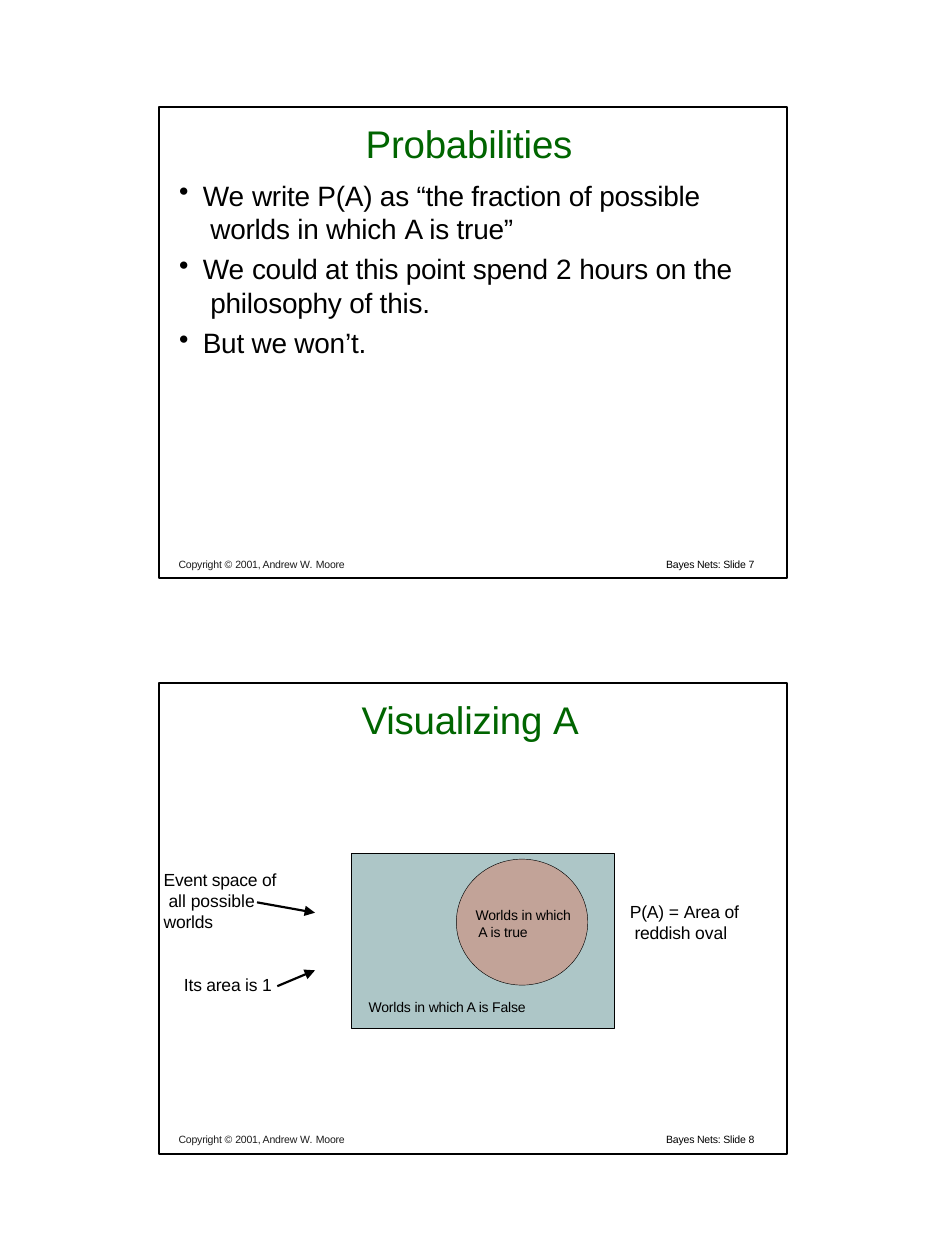
from dataclasses import dataclass

from lxml.etree import SubElement
from pptx import Presentation
from pptx.dml.color import RGBColor
from pptx.enum.shapes import MSO_CONNECTOR as Conn, MSO_SHAPE as Shape
from pptx.enum.text import MSO_ANCHOR as Anchor, MSO_AUTO_SIZE as AutoSize, PP_ALIGN as Align
from pptx.oxml.ns import qn
from pptx.util import Cm, Pt


@dataclass(frozen=True)
class Theme:
    font: str = "Arial"
    green: str = "006500"
    black: str = "000000"
    grey: str = "1C1C1C"
    line: str = "010101"
    teal: str = "ADC6C7"
    reddish: str = "C2A398"
    title: float = 22
    body: float = 16
    label: float = 10
    inner: float = 8
    footer: float = 6


@dataclass(frozen=True)
class Box:
    """Position and size in centimetres."""
    x: float
    y: float
    w: float
    h: float

    def emu(self) -> tuple:
        return Cm(self.x), Cm(self.y), Cm(self.w), Cm(self.h)


@dataclass(frozen=True)
class Run:
    """Text with letter spacing in points; a newline is a line break."""
    text: str
    spc: float = -0.1


@dataclass(frozen=True)
class Label:
    box: Box
    runs: tuple


@dataclass(frozen=True)
class Panel:
    top: float
    title: Label
    number: str


@dataclass(frozen=True)
class Arrow:
    x1: float
    y1: float
    x2: float
    y2: float


T = Theme()
FRAME_X, FRAME_W, FRAME_H = 3.2, 12.67, 9.5
TITLE_DY, FOOTER_DY = 0.2, 9.02
TOPS = (2.16, 13.77)

PANELS = (
    Panel(TOPS[0], Label(Box(7.37, TOPS[0] + TITLE_DY, 4.35, 1.02),
                         (Run("Probabilities"),)), "7"),
    Panel(TOPS[1], Label(Box(7.29, TOPS[1] + TITLE_DY, 4.53, 1.02),
                         (Run("Visualizing "), Run("A", 0))), "8"),
)
COPYRIGHT = (Run("Copyright "), Run("© ", 0), Run("2001, Andrew "), Run("W. ", 0.1), Run("Moore"))
BULLETS = (
    (Run("We ", 0), Run("write P(A) as “the fraction of possible\n worlds in which "),
     Run("A ", 0), Run("is true”")),
    (Run("We ", 0), Run("could at this point spend "), Run("2 ", 0),
     Run("hours on the\n philosophy of this.")),
    (Run("But we won’t."),),
)
LABELS = (
    Label(Box(3.3, 17.45, 2.4, 1.35),
          (Run("Event space of\n "), Run("all possible\n", 0), Run("worlds"))),
    Label(Box(3.71, 19.58, 1.9, 0.51), (Run("Its area is "), Run("1", 0))),
    Label(Box(12.7, 18.11, 2.34, 0.91),
          (Run("P(A) "), Run("= ", 0), Run("Area of\n reddish "), Run("oval", 0))),
)
ARROWS = (Arrow(5.18, 18.19, 6.35, 18.4), Arrow(5.59, 19.88, 6.35, 19.56))


def add_runs(p, runs: tuple, size: float, color: str) -> None:
    p.alignment = Align.LEFT
    for run in runs:
        for i, text in enumerate(run.text.split("\n")):
            if i:
                p.add_line_break()
            if not text:
                continue
            r = p.add_run()
            r.text = text
            r.font.name, r.font.size = T.font, Pt(size)
            r.font.color.rgb = RGBColor.from_string(color)
            if run.spc:
                r._r.get_or_add_rPr().set("spc", str(round(run.spc * 100)))


def setup_frame(tf, top: float = 0.06, left: float = 0, bottom: float = 0,
                anchor: Anchor = Anchor.TOP, wrap: bool = True) -> None:
    tf.auto_size, tf.word_wrap, tf.vertical_anchor = AutoSize.NONE, wrap, anchor
    tf.margin_left, tf.margin_right = Cm(left), 0
    tf.margin_top, tf.margin_bottom = Cm(top), Cm(bottom)


def add_label(s, label: Label, size: float, color: str = T.black) -> None:
    tf = s.shapes.add_textbox(*label.box.emu()).text_frame
    setup_frame(tf)
    add_runs(tf.paragraphs[0], label.runs, size, color)


def add_outline(s, kind: Shape, box: Box, width: float, line: str, fill: str = ""):
    sp = s.shapes.add_shape(kind, *box.emu())
    sp.shadow.inherit = False
    sp.line.color.rgb, sp.line.width = RGBColor.from_string(line), Pt(width)
    if fill:
        sp.fill.solid()
        sp.fill.fore_color.rgb = RGBColor.from_string(fill)
    else:
        sp.fill.background()
    return sp


def add_arrow(s, a: Arrow) -> None:
    cx = s.shapes.add_connector(Conn.STRAIGHT, Cm(a.x1), Cm(a.y1), Cm(a.x2), Cm(a.y2))
    cx.line.color.rgb, cx.line.width = RGBColor.from_string(T.line), Pt(1.25)
    SubElement(cx.line._get_or_add_ln(), qn("a:tailEnd"), type="triangle")
    SubElement(cx._element.spPr, qn("a:effectLst"))


def add_panel(s, panel: Panel) -> None:
    add_outline(s, Shape.RECTANGLE, Box(FRAME_X, panel.top, FRAME_W, FRAME_H), 1, T.black)
    y = panel.top + FOOTER_DY
    add_label(s, Label(Box(3.6, y, 3.6, 0.33), COPYRIGHT), T.footer, T.grey)
    number = (Run("Bayes Nets: Slide "), Run(panel.number, 0))
    add_label(s, Label(Box(13.43, y, 1.95, 0.33), number), T.footer)


def add_bullets(s, box: Box) -> None:
    tf = s.shapes.add_textbox(*box.emu()).text_frame
    setup_frame(tf)
    for i, runs in enumerate(BULLETS):
        p = tf.add_paragraph() if i else tf.paragraphs[0]
        pPr = p._p.get_or_add_pPr()
        pPr.set("marL", str(Cm(0.51)))
        pPr.set("indent", str(Cm(-0.48)))
        SubElement(pPr, qn("a:buChar"), char="•")
        if i:
            p.space_before = Pt(3.8)
        add_runs(p, runs, T.body, T.black)


def add_event_space(s) -> None:
    # The whole space, labelled at its foot
    sp = add_outline(s, Shape.RECTANGLE, Box(7.09, 17.2, 5.29, 3.53), 0.25, T.line, T.teal)
    setup_frame(sp.text_frame, left=0.34, bottom=0.27, anchor=Anchor.BOTTOM)
    add_runs(sp.text_frame.paragraphs[0], (Run("Worlds in which A is False"),), T.inner, T.black)
    # The oval where A is true
    sp = add_outline(s, Shape.OVAL, Box(9.2, 17.32, 2.65, 2.54), 0.25, T.line, T.reddish)
    setup_frame(sp.text_frame, anchor=Anchor.MIDDLE, wrap=False)
    add_runs(sp.text_frame.paragraphs[0], (Run("Worlds in which\n A is true"),), T.inner, T.black)


def main() -> None:
    prs = Presentation()
    prs.slide_width, prs.slide_height = Cm(19.05), Cm(25.4)
    s = prs.slides.add_slide(prs.slide_layouts[5])

    # Titles: the placeholder for the upper panel, a text box for the lower
    upper, lower = PANELS
    title = s.shapes.title
    title.left, title.top, title.width, title.height = upper.title.box.emu()
    setup_frame(title.text_frame)
    add_runs(title.text_frame.paragraphs[0], upper.title.runs, T.title, T.green)
    add_label(s, lower.title, T.title, T.green)

    # Panel frames and footers
    for panel in PANELS:
        add_panel(s, panel)

    # Upper panel
    add_bullets(s, Box(3.58, 3.53, 11.43, 3.73))

    # Lower panel
    add_event_space(s)
    for label in LABELS:
        add_label(s, label, T.label)
    for arrow in ARROWS:
        add_arrow(s, arrow)

    prs.save("out.pptx")


if __name__ == "__main__":
    main()
